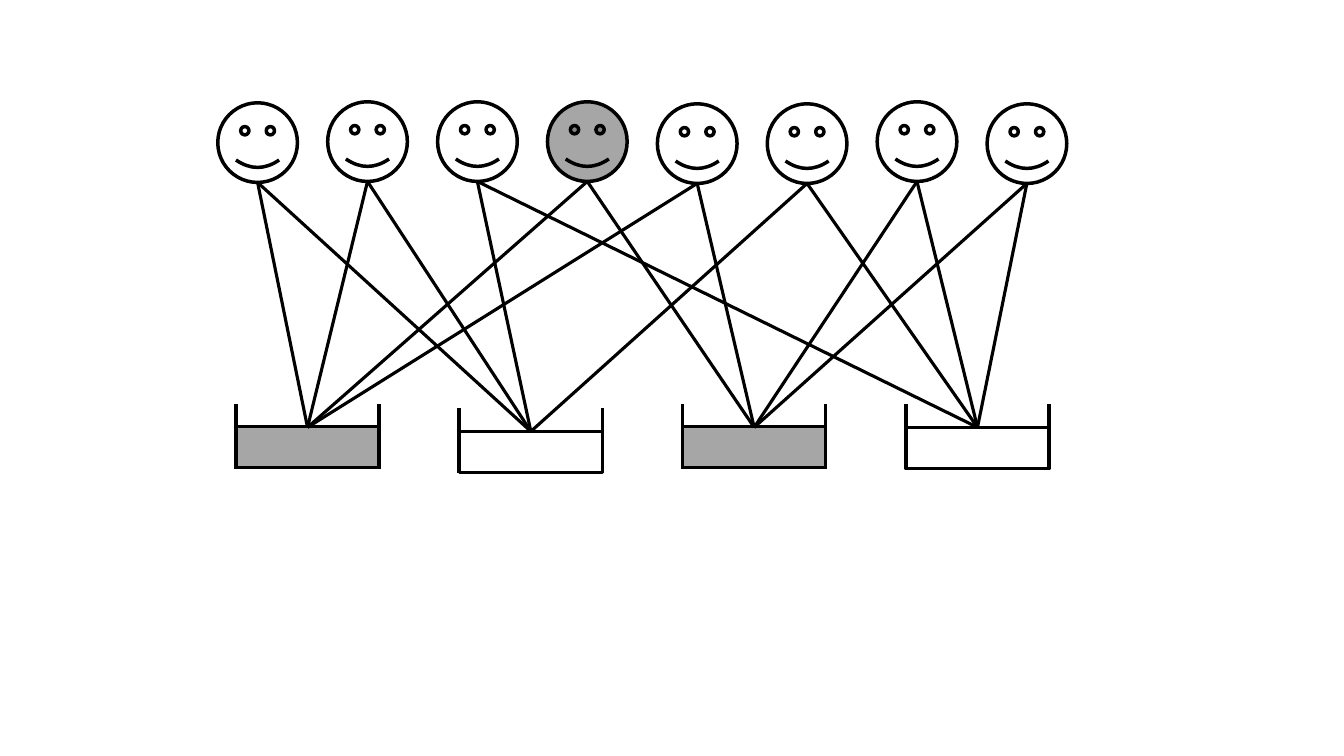
import dataclasses

import pptx
import pptx.dml.color
import pptx.enum.shapes
import pptx.oxml.ns
import pptx.util
from lxml import etree

SHAPES = pptx.enum.shapes.MSO_SHAPE


@dataclasses.dataclass(frozen=True)
class Theme:
    ink: str = "000000"
    marked: str = "A6A6A6"
    outline: float = 2.5
    link: float = 2.25


@dataclasses.dataclass(frozen=True)
class Grid:
    """Columns and rows in inches: one column per person, two rows."""
    left: float = 2.16
    column: float = 1.09
    people_row: float = 1.01
    pool_row: float = 4.01
    face: float = 0.79
    pool_left: float = 2.34
    pool_column: float = 2.215
    pool_width: float = 1.42
    wall: float = 0.64
    surface: float = 0.23


class PoolingDiagram:
    def __init__(self, slide, theme, grid):
        self.slide, self.theme, self.grid = slide, theme, grid

    def color(self, value):
        return pptx.dml.color.RGBColor.from_string(value)

    def line(self, start, end, width, shapes=None):
        points = [pptx.util.Inches(value) for value in (*start, *end)]
        connector = (shapes or self.slide.shapes).add_connector(
            pptx.enum.shapes.MSO_CONNECTOR.STRAIGHT, *points)
        connector.line.color.rgb = self.color(self.theme.ink)
        connector.line.width = pptx.util.Pt(width)
        properties = connector._element.spPr
        etree.SubElement(properties, pptx.oxml.ns.qn("a:effectLst"))

    def shape(self, kind, box, fill=None, outlined=True, shapes=None):
        shape = (shapes or self.slide.shapes).add_shape(
            kind, *[pptx.util.Inches(value) for value in box])
        shape.shadow.inherit = False
        if fill:
            shape.fill.solid()
            shape.fill.fore_color.rgb = self.color(fill)
        else:
            shape.fill.background()
        if outlined:
            shape.line.color.rgb = self.color(self.theme.ink)
            shape.line.width = pptx.util.Pt(self.theme.outline)
        else:
            shape.line.fill.background()

    def person(self, index, drop, infected):
        """Draw a face and return the point at its chin."""
        grid = self.grid
        left, top = grid.left + index * grid.column, grid.people_row + drop
        self.shape(SHAPES.SMILEY_FACE, (left, top, grid.face, grid.face),
                   self.theme.marked if infected else None)
        return left + grid.face / 2, top + grid.face

    def pool(self, index, drop, positive):
        """Draw an open vessel and return the middle of its liquid surface."""
        grid, width = self.grid, self.theme.outline
        shapes = self.slide.shapes.add_group_shape().shapes
        left, rim = grid.pool_left + index * grid.pool_column, grid.pool_row + drop
        right, surface, floor = left + grid.pool_width, rim + grid.surface, rim + grid.wall
        box = (left, surface, grid.pool_width, floor - surface)
        if positive:
            self.shape(SHAPES.RECTANGLE, box, self.theme.marked, False, shapes)
            for level in (surface - 0.01, floor - 0.01):
                self.line((left, level), (right, level), width, shapes)
        else:
            self.shape(SHAPES.RECTANGLE, box, shapes=shapes)
        for side in (left, right):
            self.line((side, rim), (side, floor), width, shapes)
        return (left + right) / 2, surface


# Slide
presentation = pptx.Presentation()
presentation.slide_width = pptx.util.Inches(13.33)
presentation.slide_height = pptx.util.Inches(7.5)
slide = presentation.slides.add_slide(presentation.slide_layouts[6])
diagram = PoolingDiagram(slide, Theme(), Grid())

# People and pools, each with its small vertical offset
INFECTED_PERSON = 3
PERSON_DROPS = (0.01, 0, 0, 0, 0.02, 0.02, 0, 0.02)
POOL_DROPS = (0, 0.04, 0, 0)
# The two pools that each person's sample goes into
POOLS_OF_PERSON = ((0, 1), (0, 1), (1, 3), (0, 2), (0, 2), (1, 3), (2, 3), (2, 3))

chins = [diagram.person(index, drop, index == INFECTED_PERSON)
         for index, drop in enumerate(PERSON_DROPS)]
surfaces = [diagram.pool(index, drop, index in POOLS_OF_PERSON[INFECTED_PERSON])
            for index, drop in enumerate(POOL_DROPS)]

# Links from people to pools
for chin, pools in zip(chins, POOLS_OF_PERSON):
    for pool in pools:
        diagram.line(chin, surfaces[pool], diagram.theme.link)

presentation.save("out.pptx")
